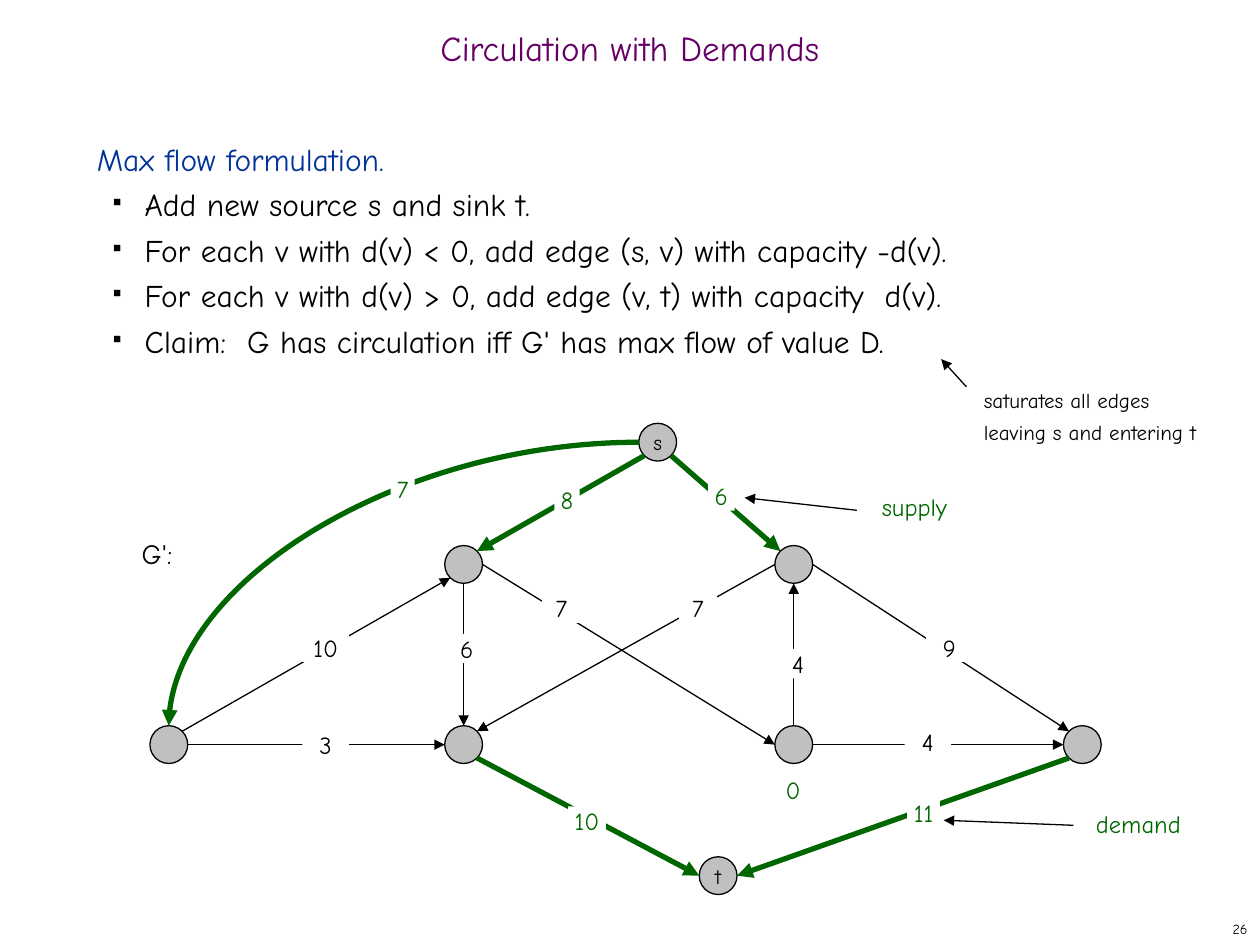
import math
from dataclasses import dataclass

import pptx
import pptx.dml.color
import pptx.enum.shapes
import pptx.enum.text
import pptx.oxml
import pptx.oxml.ns
import pptx.util
from lxml import etree

Inches = pptx.util.Inches
Pt = pptx.util.Pt
RGBColor = pptx.dml.color.RGBColor
qn = pptx.oxml.ns.qn
ALIGN = pptx.enum.text.PP_ALIGN
ANCHOR = pptx.enum.text.MSO_ANCHOR
SHAPE = pptx.enum.shapes.MSO_SHAPE
CONNECTOR = pptx.enum.shapes.MSO_CONNECTOR


@dataclass(frozen=True)
class Theme:
    font: str = "Comic Neue"
    title: RGBColor = RGBColor(0x66, 0x00, 0x66)
    heading: RGBColor = RGBColor(0x00, 0x33, 0x99)
    ink: RGBColor = RGBColor(0x00, 0x00, 0x00)
    green: RGBColor = RGBColor(0x00, 0x66, 0x00)
    node: RGBColor = RGBColor(0xC0, 0xC0, 0xC0)
    paper: RGBColor = RGBColor(0xFF, 0xFF, 0xFF)
    title_size: int = 20
    body_size: int = 18
    graph_size: int = 16
    label_size: int = 14
    note_size: int = 12
    number_size: int = 8
    thin: float = 0.75
    thick: float = 3


theme = Theme()
presentation = pptx.Presentation()
presentation.slide_width = Inches(10)
presentation.slide_height = Inches(7.5)
slide = presentation.slides.add_slide(presentation.slide_layouts[6])


def add_text(text, box, size, color, align=ALIGN.LEFT, anchor=ANCHOR.TOP, wrap=True):
    shape = slide.shapes.add_textbox(*[Inches(length) for length in box])
    frame = shape.text_frame
    frame.word_wrap = wrap
    frame.vertical_anchor = anchor
    paragraph = frame.paragraphs[0]
    paragraph.text = text
    paragraph.alignment = align
    paragraph.font.name = theme.font
    paragraph.font.size = Pt(size)
    paragraph.font.color.rgb = color
    return shape


def add_arrow(start, end, color, width, kind=CONNECTOR.STRAIGHT):
    connector = slide.shapes.add_connector(
        kind, *[Inches(length) for length in (*start, *end)]
    )
    connector.line.color.rgb = color
    connector.line.width = Pt(width)
    properties = connector._element.spPr
    line = properties.find(qn("a:ln"))
    etree.SubElement(line, qn("a:tailEnd"), type="triangle")
    etree.SubElement(properties, qn("a:effectLst"))
    return connector


# Title, body and slide number
title = add_text("Circulation with Demands", (0, 0.17, 10, 0.5), theme.title_size,
                 theme.title, ALIGN.CENTER, ANCHOR.MIDDLE)
title.text_frame.paragraphs[0].line_spacing = 0.7

body = add_text("Max flow formulation.", (0.67, 1, 8.58, 2), theme.body_size, theme.heading)
body.text_frame.paragraphs[0].line_spacing = Pt(26)
bullets = [
    "Add new source s and sink t.",
    "For each v with d(v) < 0, add edge (s, v) with capacity -d(v).",
    "For each v with d(v) > 0, add edge (v, t) with capacity  d(v).",
    "Claim:  G has circulation iff G' has max flow of value D.",
]
for bullet in bullets:
    paragraph = body.text_frame.add_paragraph()
    paragraph.text = bullet
    paragraph.level = 1
    paragraph.line_spacing = Pt(26)
    properties = paragraph._p.get_or_add_pPr()
    properties.set("marL", str(Inches(0.38)))
    properties.set("indent", str(Inches(-0.25)))
    bullet_color = etree.SubElement(properties, qn("a:buClr"))
    etree.SubElement(bullet_color, qn("a:srgbClr"), val=str(theme.ink))
    etree.SubElement(properties, qn("a:buSzPct"), val="35000")
    etree.SubElement(properties, qn("a:buChar"), char="■")
    paragraph.font.name = theme.font
    paragraph.font.size = Pt(theme.body_size)
    paragraph.font.color.rgb = theme.ink

add_text("26", (7.92, 7.25, 2.08, 0.25), theme.number_size, theme.ink,
         ALIGN.RIGHT, ANCHOR.MIDDLE)

# Nodes: centre and letter
diameter = 0.3
nodes = {
    "s": (5.22, 3.51, "s"),
    "upper left": (3.68, 4.48, ""),
    "upper right": (6.3, 4.48, ""),
    "far left": (1.34, 5.91, ""),
    "lower left": (3.68, 5.91, ""),
    "lower right": (6.3, 5.91, ""),
    "far right": (8.59, 5.91, ""),
    "t": (5.7, 6.95, "t"),
}
for x, y, letter in nodes.values():
    circle = slide.shapes.add_shape(
        SHAPE.OVAL, Inches(x - diameter / 2), Inches(y - diameter / 2),
        Inches(diameter), Inches(diameter))
    circle.shadow.inherit = False
    circle.fill.solid()
    circle.fill.fore_color.rgb = theme.node
    circle.line.color.rgb = theme.ink
    circle.line.width = Pt(theme.thin)
    if letter:
        circle.text_frame.word_wrap = False
        circle.text_frame.vertical_anchor = ANCHOR.MIDDLE
        paragraph = circle.text_frame.paragraphs[0]
        paragraph.text = letter
        paragraph.alignment = ALIGN.CENTER
        paragraph.font.name = theme.font
        paragraph.font.size = Pt(theme.note_size)
        paragraph.font.color.rgb = theme.ink

# Edges: source and target, each with the compass point where the edge meets the circle
compass = {"E": 0, "SE": 45, "S": 90, "SW": 135, "W": 180, "NW": 225, "N": 270, "NE": 315}
graph_style = (theme.ink, theme.thin)
flow_style = (theme.green, theme.thick)
edges = [
    ("far left", "NE", "upper left", "SW", graph_style),
    ("far left", "E", "lower left", "W", graph_style),
    ("upper left", "S", "lower left", "N", graph_style),
    ("lower right", "N", "upper right", "S", graph_style),
    ("upper right", "E", "far right", "NW", graph_style),
    ("lower right", "E", "far right", "W", graph_style),
    ("upper left", "E", "lower right", "W", graph_style),
    ("upper right", "W", "lower left", "NE", graph_style),
    ("s", "SE", "upper right", "NW", flow_style),
    ("s", "SW", "upper left", "NE", flow_style),
    ("far right", "SW", "t", "E", flow_style),
    ("lower left", "SE", "t", "W", flow_style),
    ("s", "W", "far left", "N", flow_style),
]
for source, source_side, target, target_side, style in edges:
    ends = []
    for node, side in ((source, source_side), (target, target_side)):
        x, y, _ = nodes[node]
        angle = math.radians(compass[side])
        ends.append((x + diameter / 2 * math.cos(angle), y + diameter / 2 * math.sin(angle)))
    if (source, target) == ("s", "far left"):
        curve = add_arrow(*ends, *style, CONNECTOR.CURVE)
        curve._element.spPr.find(qn("a:prstGeom")).set("prst", "curvedConnector2")
    else:
        add_arrow(*ends, *style)

# Labels on white: text, left, top, width, colour
labels = [
    ("3", 2.4, 5.79, 0.37, theme.ink),
    ("10", 2.4, 5.02, 0.37, theme.ink),
    ("6", 3.52, 5.03, 0.37, theme.ink),
    ("9", 7.35, 5.02, 0.37, theme.ink),
    ("7", 4.3, 4.71, 0.31, theme.ink),
    ("4", 7.18, 5.77, 0.37, theme.ink),
    ("7", 5.39, 4.71, 0.3, theme.ink),
    ("4", 6.15, 5.15, 0.37, theme.ink),
    ("0", 6.11, 6.15, 0.37, theme.green),
    ("10", 4.51, 6.4, 0.3, theme.green),
    ("11", 7.2, 6.33, 0.26, theme.green),
    ("7", 3.1, 3.76, 0.19, theme.green),
    ("8", 4.4, 3.85, 0.2, theme.green),
    ("6", 5.62, 3.82, 0.21, theme.green),
    ("G':", 0.97, 4.26, 0.55, theme.ink),
]
for text, left, top, width, color in labels:
    size = theme.graph_size if text == "G':" else theme.label_size
    label = add_text(text, (left, top, width, size / 60), size, color, ALIGN.CENTER, wrap=False)
    label.fill.solid()
    label.fill.fore_color.rgb = theme.paper
    frame = label.text_frame
    frame.margin_left = frame.margin_right = frame.margin_top = frame.margin_bottom = 0

# Notes and their pointers
add_text("supply", (6.9, 3.86, 1.25, 0.34), theme.label_size, theme.green)
add_text("demand", (8.6, 6.37, 0.94, 0.34), theme.label_size, theme.green)
note = add_text("saturates all edges\vleaving s and entering t", (7.71, 2.98, 1.89, 0.6),
                theme.note_size, theme.ink, wrap=False)
note.text_frame.paragraphs[0].line_spacing = Pt(18)
for start, end in [((6.8, 4.05), (5.91, 3.95)),
                   ((8.52, 6.55), (7.49, 6.51)),
                   ((7.67, 3.07), (7.47, 2.85))]:
    add_arrow(start, end, *graph_style)

presentation.save("out.pptx")
